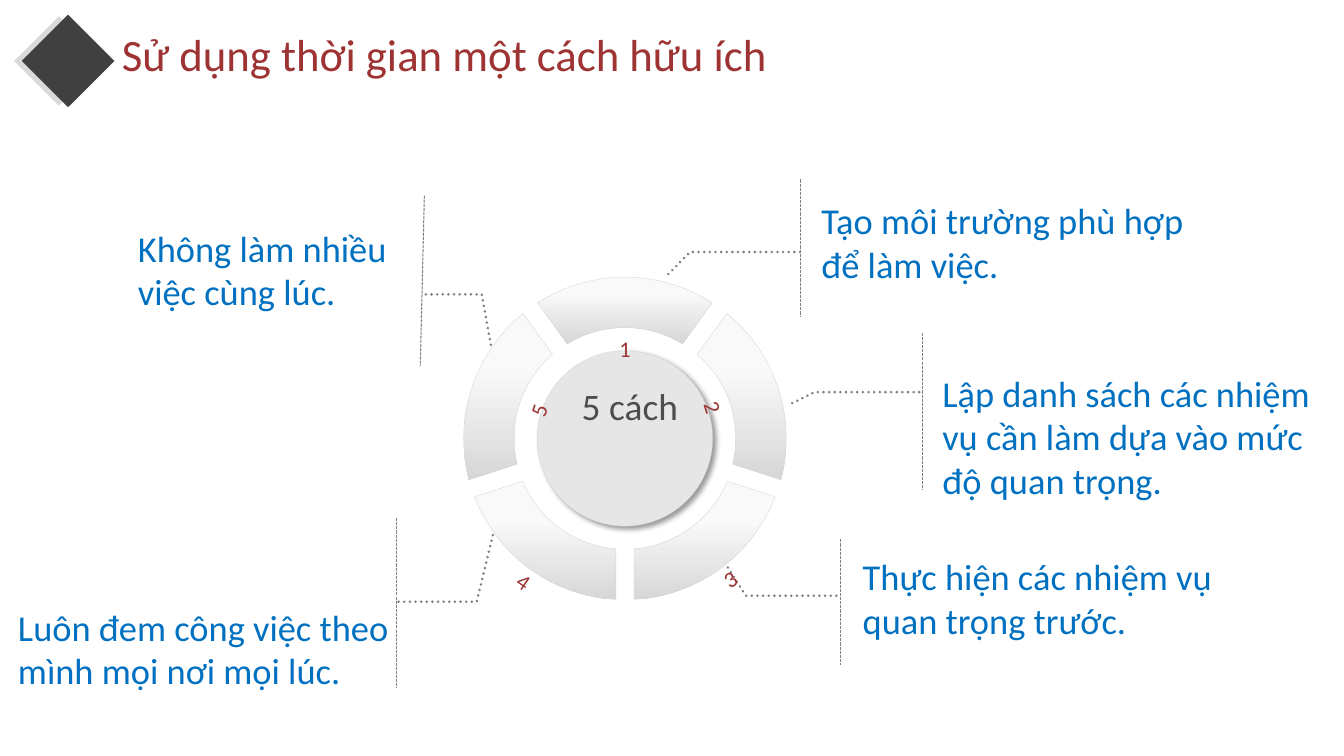
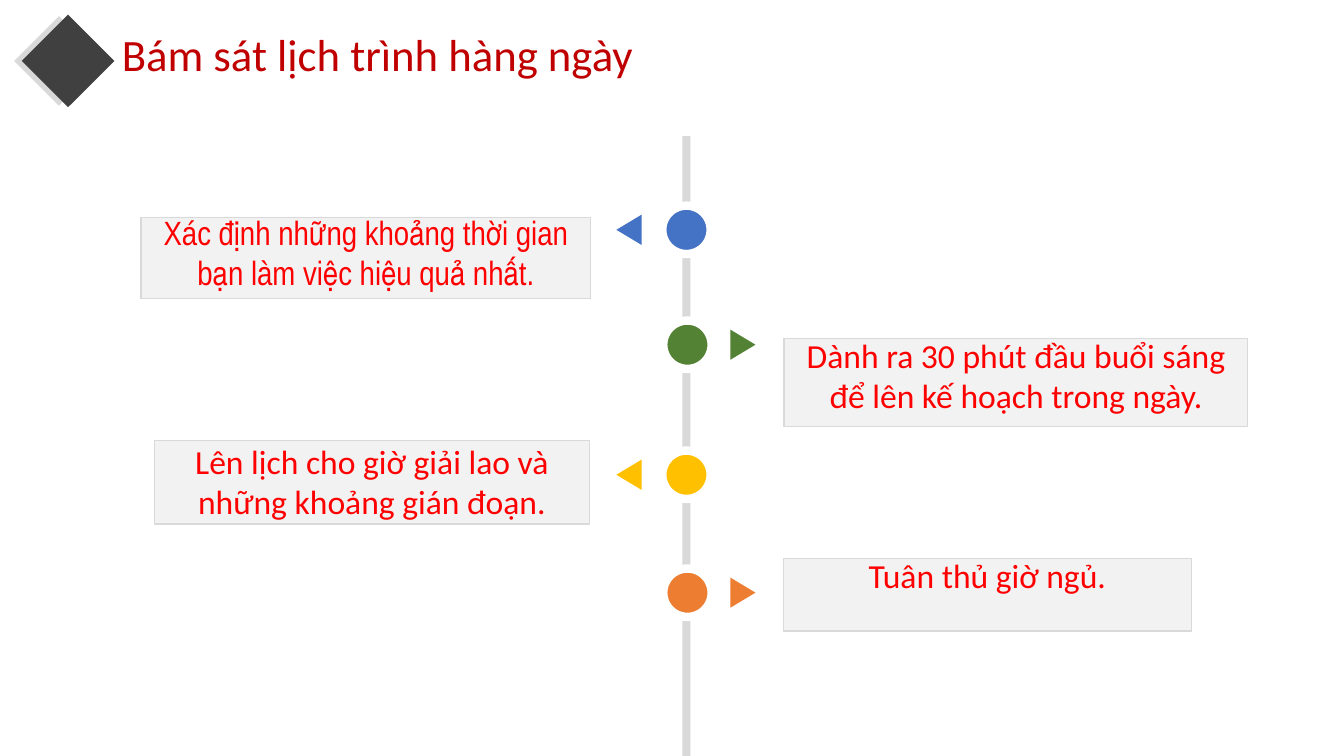
import math
from dataclasses import dataclass

import pptx
import pptx.util
import pptx.dml.color
import pptx.enum.dml
import pptx.enum.shapes
import pptx.enum.text
import pptx.oxml.ns
from lxml import etree

Inches = pptx.util.Inches
Pt = pptx.util.Pt
Form = pptx.enum.shapes.MSO_SHAPE
Dash = pptx.enum.dml.MSO_LINE
Align = pptx.enum.text.PP_ALIGN
Anchor = pptx.enum.text.MSO_ANCHOR
qn = pptx.oxml.ns.qn

# Shared colours and font
FONT = "Calibri"
MAROON = "9D3333"
BLUE = "0070C0"
RED = "FF0000"
DARK = "404040"
GREY = "808080"
PALE = "D9D9D9"
EDGE = "D7D7D7"
WHITE = "FFFFFF"

# Ring geometry, in inches
HUB = (6.2, 4.35)
HUB_R = 0.87
OUTER = 1.6
INNER = 1.1
GAP = 0.18
PARTS = 5


@dataclass
class Note:
    text: str
    left: float
    top: float
    width: float
    height: float
    lead: list  # points of the dotted leader
    rule: tuple  # x1, y1, x2, y2 of the dashed rule


@dataclass
class Mark:
    text: str
    left: float
    top: float
    turn: float
    height: float = 0.87


@dataclass
class Step:
    text: str
    hue: str
    mid: float  # height of the dot on the spine
    right: bool
    left: float
    top: float
    width: float
    height: float
    lift: float  # how far the text starts above the card
    face: str = FONT


NOTES = [
    Note("Không làm nhiều việc cùng lúc.", 1.27, 2.19, 3.07, 0.98,
         [(4.89, 3.53), (4.78, 2.92), (4.21, 2.92)], (4.21, 1.94, 4.17, 3.63)),
    Note("Luôn đem công việc theo mình mọi nơi mọi lúc.", 0.08, 5.95, 4.21, 0.98,
         [(4.89, 5.31), (4.73, 5.97), (3.93, 5.97)], (3.93, 5.14, 3.93, 6.82)),
    Note("Tạo môi trường phù hợp để làm việc.", 8.05, 1.92, 4.01, 0.98,
         [(6.63, 2.72), (6.85, 2.5), (7.94, 2.5)], (7.94, 1.78, 7.94, 3.14)),
    Note("Lập danh sách các nhiệm vụ cần làm dựa vào mức độ quan trọng.",
         9.25, 3.63, 4.01, 1.41,
         [(7.86, 4), (8.08, 3.89), (9.15, 3.89)], (9.15, 3.3, 9.15, 4.86)),
    Note("Thực hiện các nhiệm vụ quan trọng trước.", 8.46, 5.45, 4.01, 0.98,
         [(7.22, 5.63), (7.4, 5.91), (8.3, 5.91)], (8.34, 5.35, 8.34, 6.6)),
]

MARKS = [
    Mark("1", 5.4, 3.02, 0),
    Mark("2", 6.28, 3.61, 73.1),
    Mark("3", 6.44, 5.34, 327.6, 0.81),
    Mark("4", 4.4, 5.36, 34.5, 0.81),
    Mark("5", 4.54, 3.64, 288.6),
]

STEPS = [
    Step("Xác định những khoảng thời gian bạn làm việc hiệu quả nhất.",
         "4472C4", 2.28, False, 1.4, 2.16, 4.46, 0.8, 0.11, "Arial Narrow"),
    Step("Dành ra 30 phút đầu buổi sáng để lên kế hoạch trong ngày.",
         "548235", 3.42, True, 7.78, 3.36, 4.6, 0.87, 0.09),
    Step("Lên lịch cho giờ giải lao và những khoảng gián đoạn.",
         "FFC000", 4.71, False, 1.53, 4.37, 4.32, 0.83, 0.05),
    Step("Tuân thủ giờ ngủ.",
         "ED7D31", 5.88, True, 7.77, 5.54, 4.05, 0.72, 0.08),
]


# Drawing helpers
def tint(code: str):
    return pptx.dml.color.RGBColor.from_string(code)


def pen(line, hue: str, size: float, dash=None) -> None:
    line.color.rgb = tint(hue)
    line.width = Pt(size)
    if dash is not None:
        line.dash_style = dash


def shape(slide, form, left: float, top: float, width: float, height: float,
          fill: str, edge: str = "", size: float = 1, turn: float = 0):
    item = slide.shapes.add_shape(
        form, Inches(left), Inches(top), Inches(width), Inches(height))
    item.shadow.inherit = False
    item.rotation = turn
    item.fill.solid()
    item.fill.fore_color.rgb = tint(fill)
    if edge:
        pen(item.line, edge, size)
    else:
        item.line.fill.background()
    return item


def label(slide, text: str, left: float, top: float, width: float, height: float,
          size: float, hue: str, face: str = FONT, align=Align.LEFT,
          anchor=Anchor.TOP, turn: float = 0) -> None:
    box = slide.shapes.add_textbox(
        Inches(left), Inches(top), Inches(width), Inches(height))
    box.rotation = turn
    frame = box.text_frame
    frame.word_wrap = True
    frame.vertical_anchor = anchor
    frame.text = text
    para = frame.paragraphs[0]
    para.alignment = align
    font = para.runs[0].font
    font.name = face
    font.size = Pt(size)
    font.color.rgb = tint(hue)


def trace(slide, points: list, close: bool):
    spots = [(Inches(x), Inches(y)) for x, y in points]
    pencil = slide.shapes.build_freeform(*spots[0], scale=1.0)
    pencil.add_line_segments(spots[1:], close=close)
    item = pencil.convert_to_shape()
    item.shadow.inherit = False
    return item


def header(slide, text: str, hue: str) -> None:
    shape(slide, Form.RECTANGLE, 0.27, 0.29, 0.63, 0.63, PALE, turn=45)
    shape(slide, Form.RECTANGLE, 0.35, 0.28, 0.65, 0.65, DARK, turn=45)
    label(slide, text, 1.11, 0.22, 8.1, 0.64, 32, hue)


# Parts of the ring slide
def guide(slide, note: Note) -> None:
    lead = trace(slide, note.lead, False)
    lead.fill.background()
    pen(lead.line, GREY, 2, Dash.ROUND_DOT)
    lead._element.spPr.find(qn("a:ln")).set("cap", "rnd")
    rule = slide.shapes.add_connector(
        pptx.enum.shapes.MSO_CONNECTOR.STRAIGHT, *map(Inches, note.rule))
    pen(rule.line, GREY, 0.75, Dash.SQUARE_DOT)
    etree.SubElement(rule._element.spPr, qn("a:effectLst"))


def arc(radius: float, mid: float) -> list:
    """Bezier points of one arc, its ends held half a gap from the divide."""
    half = math.pi / PARTS - math.asin(GAP / 2 / radius)
    pull = 4 / 3 * math.tan(half / 2)

    def spot(turn: float, along: float) -> tuple:
        sin, cos = math.sin(turn), math.cos(turn)
        return (HUB[0] + radius * (sin + along * cos),
                HUB[1] - radius * (cos - along * sin))

    first, last = mid - half, mid + half
    return [spot(first, 0), spot(first, pull), spot(last, -pull), spot(last, 0)]


def bend(part) -> None:
    """Turn the line runs of both arcs into cubic curves."""
    lines = list(part._element.spPr.iter(qn("a:lnTo")))
    for run in (lines[0:3], lines[4:7]):
        curve = etree.Element(qn("a:cubicBezTo"))
        run[0].addprevious(curve)
        for line in run:
            curve.append(line[0])
            line.getparent().remove(line)


def wedge(slide, index: int) -> None:
    mid = 2 * math.pi * index / PARTS
    part = trace(slide, arc(OUTER, mid) + arc(INNER, mid)[::-1], True)
    bend(part)
    part.fill.gradient()
    part.fill.gradient_angle = 270
    for stop, place, hue in zip(part.fill.gradient_stops, (0.33, 1), ("F9F9F9", EDGE)):
        stop.position = place
        stop.color.rgb = tint(hue)
    pen(part.line, EDGE, 0.25)


def hub(slide) -> None:
    disc = shape(slide, Form.OVAL, HUB[0] - HUB_R, HUB[1] - HUB_R,
                 2 * HUB_R, 2 * HUB_R, "E7E6E6", EDGE, 0.25)
    glow = etree.SubElement(
        disc._element.spPr.find(qn("a:effectLst")), qn("a:outerShdw"),
        blurRad=str(Pt(4)), dist=str(Pt(3)), dir=str(45 * 60000),
        algn="tl", rotWithShape="0")
    black = etree.SubElement(glow, qn("a:srgbClr"), val="000000")
    etree.SubElement(black, qn("a:alpha"), val="40000")


def ring(slide) -> None:
    header(slide, "Sử dụng thời gian một cách hữu ích", MAROON)
    for note in NOTES:
        guide(slide, note)
    hub(slide)
    for index in range(PARTS):
        wedge(slide, index)
    for mark in MARKS:
        label(slide, mark.text, mark.left, mark.top, 1.6, mark.height, 16, MAROON,
              align=Align.CENTER, anchor=Anchor.MIDDLE, turn=mark.turn)
    label(slide, "5 cách", 5.35, 3.75, 1.8, 0.55, 26.7, "4D4D4D", align=Align.CENTER)
    for note in NOTES:
        label(slide, note.text, note.left, note.top, note.width, note.height, 26, BLUE)


# Parts of the timeline slide
def stage(slide, step: Step) -> None:
    dot, wide, high = 0.48, 0.3, 0.25
    shape(slide, Form.OVAL, 6.81 - dot / 2 + 0.01 * step.right, step.mid - dot / 2,
          dot, dot, step.hue, WHITE, 6)
    shape(slide, Form.ISOSCELES_TRIANGLE, 7.22 if step.right else 6.09,
          step.mid - high / 2, wide, high, step.hue, turn=90 if step.right else 270)
    shape(slide, Form.RECTANGLE, step.left, step.top, step.width, step.height,
          "F2F2F2", PALE, 1)
    label(slide, step.text, step.left, step.top - step.lift, step.width,
          step.height + step.lift, 24, RED, step.face, Align.CENTER)


def spine(slide) -> None:
    header(slide, "Bám sát lịch trình hàng ngày", "C00000")
    shape(slide, Form.RECTANGLE, 6.77, 1.35, 0.08, 6.15, PALE)
    for step in STEPS:
        stage(slide, step)


def main() -> None:
    deck = pptx.Presentation()
    deck.slide_width = Inches(40 / 3)
    deck.slide_height = Inches(7.5)
    for draw in (ring, spine):
        draw(deck.slides.add_slide(deck.slide_layouts[6]))
    deck.save("out.pptx")


if __name__ == "__main__":
    main()
